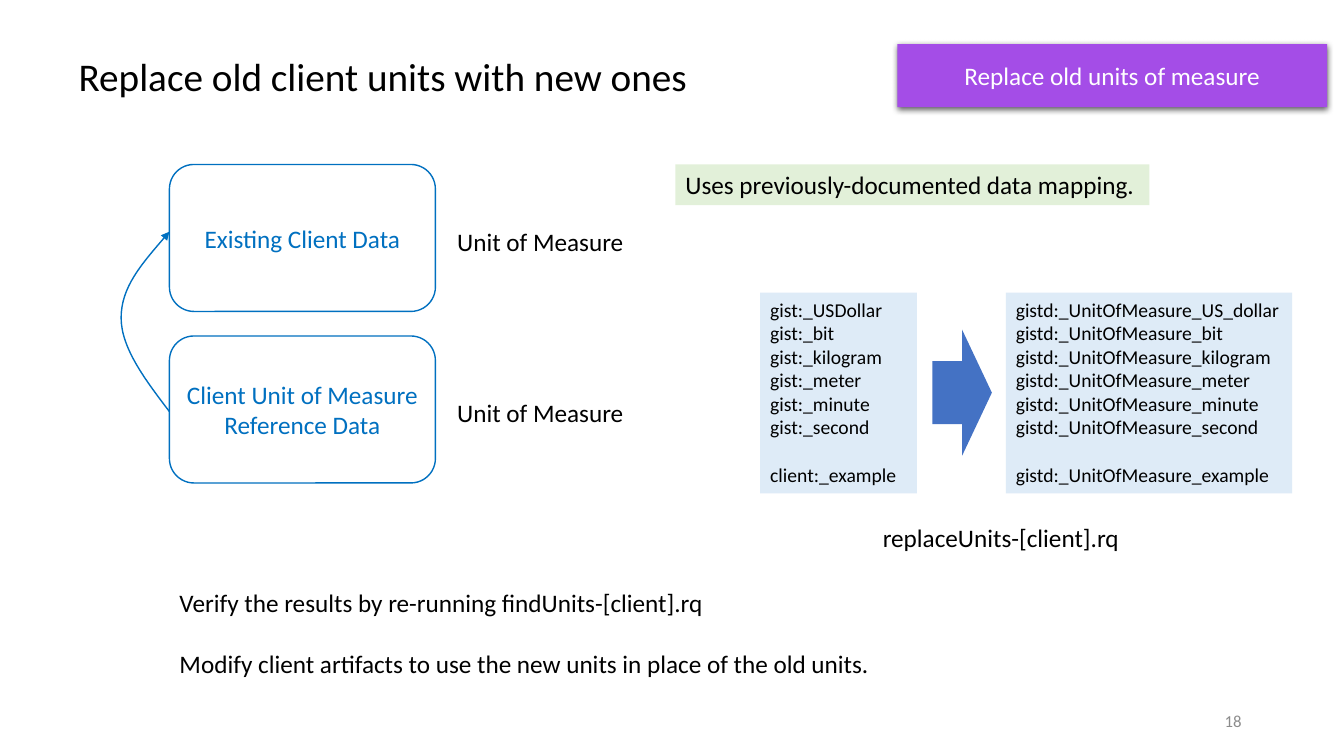
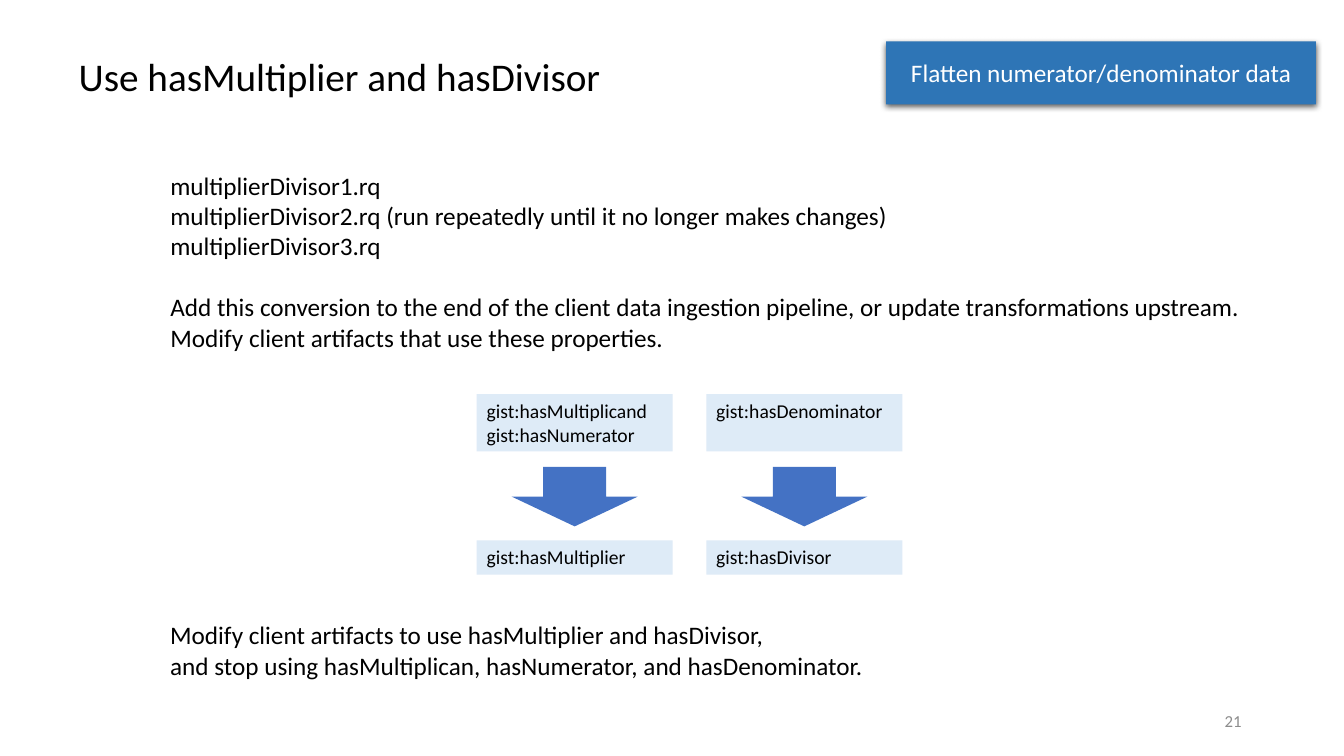
"""Build two slides on replacing units of measure and flattening numerator and denominator data."""
from dataclasses import dataclass
from typing import Optional

from lxml.etree import SubElement
from pptx import Presentation
from pptx.dml.color import RGBColor
from pptx.enum.shapes import MSO_SHAPE
from pptx.enum.text import MSO_ANCHOR, MSO_AUTO_SIZE, PP_ALIGN
from pptx.oxml.ns import qn
from pptx.shapes.autoshape import Shape
from pptx.slide import Slide
from pptx.util import Pt

COLORS = {
    "text": "000000",
    "white": "FFFFFF",
    "number": "8C8C8C",
    "outline": "0070C0",
    "note": "E2F0D9",
    "code": "DEEBF7",
    "arrow": "4472C4",
    "replace": "A44DE7",
    "flatten": "2E75B6",
}
FONT = "Calibri"
LINE_HEIGHT = 1.22

FREE_FRAME = {"word_wrap": False, "auto_size": MSO_AUTO_SIZE.SHAPE_TO_FIT_TEXT,
              "vertical_anchor": MSO_ANCHOR.TOP}
TOP_FRAME = {"word_wrap": True, "auto_size": MSO_AUTO_SIZE.NONE,
             "vertical_anchor": MSO_ANCHOR.TOP}
MIDDLE_FRAME = {**TOP_FRAME, "vertical_anchor": MSO_ANCHOR.MIDDLE}


@dataclass(frozen=True)
class Area:
    left: float
    top: float
    width: float
    height: float

    def lengths(self) -> tuple[Pt, Pt, Pt, Pt]:
        return Pt(self.left), Pt(self.top), Pt(self.width), Pt(self.height)


@dataclass(frozen=True)
class TextStyle:
    size: float
    color: str
    frame: dict
    alignment: PP_ALIGN = PP_ALIGN.LEFT


@dataclass(frozen=True)
class Passage:
    area: Area
    lines: tuple[str, ...]
    gap_before: Optional[int] = None


@dataclass(frozen=True)
class Banner:
    area: Area
    caption: str
    color: str


TITLE = TextStyle(28, "text", FREE_FRAME)
PLAIN = TextStyle(18, "text", FREE_FRAME)
WRAPPED = TextStyle(18, "text", TOP_FRAME)
CODE = TextStyle(14, "text", TOP_FRAME)
STORE = TextStyle(18, "outline", MIDDLE_FRAME, PP_ALIGN.CENTER)
BANNER = TextStyle(18, "white", MIDDLE_FRAME, PP_ALIGN.CENTER)
NUMBER = TextStyle(12, "number", MIDDLE_FRAME, PP_ALIGN.RIGHT)


def rgb(color: str) -> RGBColor:
    return RGBColor.from_string(COLORS[color])


def apply(target: object, formats: dict) -> None:
    for attribute, value in formats.items():
        setattr(target, attribute, value)


def write(shape: Shape, passage: Passage, style: TextStyle) -> None:
    frame = shape.text_frame
    apply(frame, style.frame)
    frame.text = "\n".join(passage.lines)
    for index, paragraph in enumerate(frame.paragraphs):
        gap = style.size * LINE_HEIGHT if index == passage.gap_before else 0
        apply(paragraph, {"alignment": style.alignment, "space_before": Pt(gap)})
        for run in paragraph.runs:
            apply(run.font, {"name": FONT, "size": Pt(style.size)})
            run.font.color.rgb = rgb(style.color)


def fill_placeholder(shape: Shape, passage: Passage, style: TextStyle) -> None:
    apply(shape, dict(zip(("left", "top", "width", "height"), passage.area.lengths())))
    write(shape, passage, style)


def fill_body(slide: Slide, passage: Passage) -> None:
    body = slide.placeholders[1]
    fill_placeholder(body, passage, PLAIN)
    for paragraph in body.text_frame.paragraphs:
        properties = paragraph._p.get_or_add_pPr()
        properties.set("marL", "0")
        properties.set("indent", "0")
        SubElement(properties, qn("a:buNone"))


def add_text(slide: Slide, passage: Passage, style: TextStyle) -> None:
    write(slide.shapes.add_textbox(*passage.area.lengths()), passage, style)


def add_block(slide: Slide, kind: MSO_SHAPE, area: Area, fill: Optional[str] = None,
              outline: Optional[str] = None) -> Shape:
    block = slide.shapes.add_shape(kind, *area.lengths())
    paint(block, fill, outline)
    return block


def paint(shape: Shape, fill: Optional[str], outline: Optional[str]) -> None:
    shape.shadow.inherit = False
    for part, color in ((shape.fill, fill), (shape.line.fill, outline)):
        if color:
            part.solid()
            part.fore_color.rgb = rgb(color)
        else:
            part.background()
    if outline:
        shape.line.width = Pt(1)


def add_panel(slide: Slide, passage: Passage, fill: str, style: TextStyle) -> None:
    write(add_block(slide, MSO_SHAPE.RECTANGLE, passage.area, fill), passage, style)


def add_banner(slide: Slide, banner: Banner) -> None:
    block = add_block(slide, MSO_SHAPE.RECTANGLE, banner.area, banner.color)
    write(block, Passage(banner.area, (banner.caption,)), BANNER)
    effects = block._element.spPr.find(qn("a:effectLst"))
    shadow = SubElement(effects, qn("a:outerShdw"), blurRad=str(Pt(4.5)), dist=str(Pt(1.5)),
                        dir="5400000", algn="ctr", rotWithShape="0")
    tint = SubElement(shadow, qn("a:srgbClr"), val=COLORS["text"])
    SubElement(tint, qn("a:alpha"), val="63000")


def add_curved_arrow(slide: Slide, points: list[tuple[float, float]]) -> None:
    start, *controls = [(Pt(x), Pt(y)) for x, y in points]
    builder = slide.shapes.build_freeform(*start)
    builder.add_line_segments(controls, close=False)
    curve = builder.convert_to_shape()
    paint(curve, None, "outline")
    outline = next(curve._element.iter(qn("a:path")))
    segments = outline.findall(qn("a:lnTo"))
    for first in range(0, len(segments), 3):
        bend = SubElement(outline, qn("a:cubicBezTo"))
        for segment in segments[first:first + 3]:
            bend.append(segment[0])
            outline.remove(segment)
    SubElement(curve.line._get_or_add_ln(), qn("a:headEnd"), type="triangle")


def start_slide(deck: Presentation, title: Passage, number: str, banner: Banner) -> Slide:
    slide = deck.slides.add_slide(deck.slide_layouts[1])
    fill_placeholder(slide.shapes.title, title, TITLE)
    add_text(slide, Passage(Area(678, 500.5, 216, 28.75), (number,)), NUMBER)
    add_banner(slide, banner)
    return slide


def build_replacement(deck: Presentation) -> None:
    slide = start_slide(
        deck,
        Passage(Area(49, 34, 453.5, 41), ("Replace old client units with new ones",)),
        "18",
        Banner(Area(641, 31.5, 307, 45), "Replace old units of measure", "replace"),
    )
    stores = (("Existing Client Data",), ("Client Unit of Measure", "Reference Data"))
    for row, lines in enumerate(stores):
        top = 117.5 + row * 122.5
        area = Area(121, top, 190, 105)
        store = add_block(slide, MSO_SHAPE.ROUNDED_RECTANGLE, area, outline="outline")
        write(store, Passage(area, lines), STORE)
        add_text(slide, Passage(Area(319.5, top + 40.5, 134.5, 29), ("Unit of Measure",)), PLAIN)
    add_curved_arrow(slide, [(121, 165.5), (103.5, 186), (86.5, 205), (86.5, 227),
                             (86.5, 248.5), (103.5, 271), (121, 294)])

    note = Passage(Area(482.5, 117.5, 338.5, 29), ("Uses previously-documented data mapping.",))
    add_panel(slide, note, "note", PLAIN)
    units = ("bit", "kilogram", "meter", "minute", "second")
    old_units = ("gist:_USDollar", *(f"gist:_{unit}" for unit in units), "client:_example")
    new_units = tuple(f"gistd:_UnitOfMeasure_{unit}" for unit in ("US_dollar", *units, "example"))
    for left, width, lines in ((543, 112, old_units), (718.5, 204.5, new_units)):
        add_panel(slide, Passage(Area(left, 209, width, 143.5), lines, 6), "code", CODE)
    add_block(slide, MSO_SHAPE.RIGHT_ARROW, Area(666, 235.5, 42.5, 90), "arrow")
    add_text(slide, Passage(Area(623.5, 369.5, 185, 29), ("replaceUnits-[client].rq",)), PLAIN)
    fill_body(slide, Passage(
        Area(121, 416, 509, 73),
        ("Verify the results by re-running findUnits-[client].rq",
         "Modify client artifacts to use the new units in place of the old units."),
        1,
    ))


def build_flattening(deck: Presentation) -> None:
    slide = start_slide(
        deck,
        Passage(Area(49, 34, 391.5, 41), ("Use hasMultiplier and hasDivisor",)),
        "21",
        Banner(Area(633, 29.5, 307, 45), "Flatten numerator/denominator data", "flatten"),
    )
    fill_body(slide, Passage(
        Area(114.5, 118, 787.5, 138),
        ("multiplierDivisor1.rq",
         "multiplierDivisor2.rq (run repeatedly until it no longer makes changes)",
         "multiplierDivisor3.rq",
         "Add this conversion to the end of the client data ingestion pipeline, "
         "or update transformations upstream.",
         "Modify client artifacts that use these properties."),
        3,
    ))
    conversions = (
        (("gist:hasMultiplicand", "gist:hasNumerator"), "gist:hasMultiplier"),
        (("gist:hasDenominator",), "gist:hasDivisor"),
    )
    for column, (old_properties, new_property) in enumerate(conversions):
        left = 340.5 + column * 164
        add_panel(slide, Passage(Area(left, 281.5, 140, 41), old_properties), "code", CODE)
        add_block(slide, MSO_SHAPE.DOWN_ARROW, Area(left + 25, 333.5, 90, 42.5), "arrow")
        add_panel(slide, Passage(Area(left, 386, 140, 24.5), (new_property,)), "code", CODE)
    add_text(slide, Passage(
        Area(114.5, 439, 529, 51),
        ("Modify client artifacts to use hasMultiplier and hasDivisor,",
         "and stop using hasMultiplican, hasNumerator, and hasDenominator."),
    ), WRAPPED)


def main() -> None:
    deck = Presentation()
    apply(deck, {"slide_width": Pt(960), "slide_height": Pt(540)})
    build_replacement(deck)
    build_flattening(deck)
    deck.save("out.pptx")


if __name__ == "__main__":
    main()
